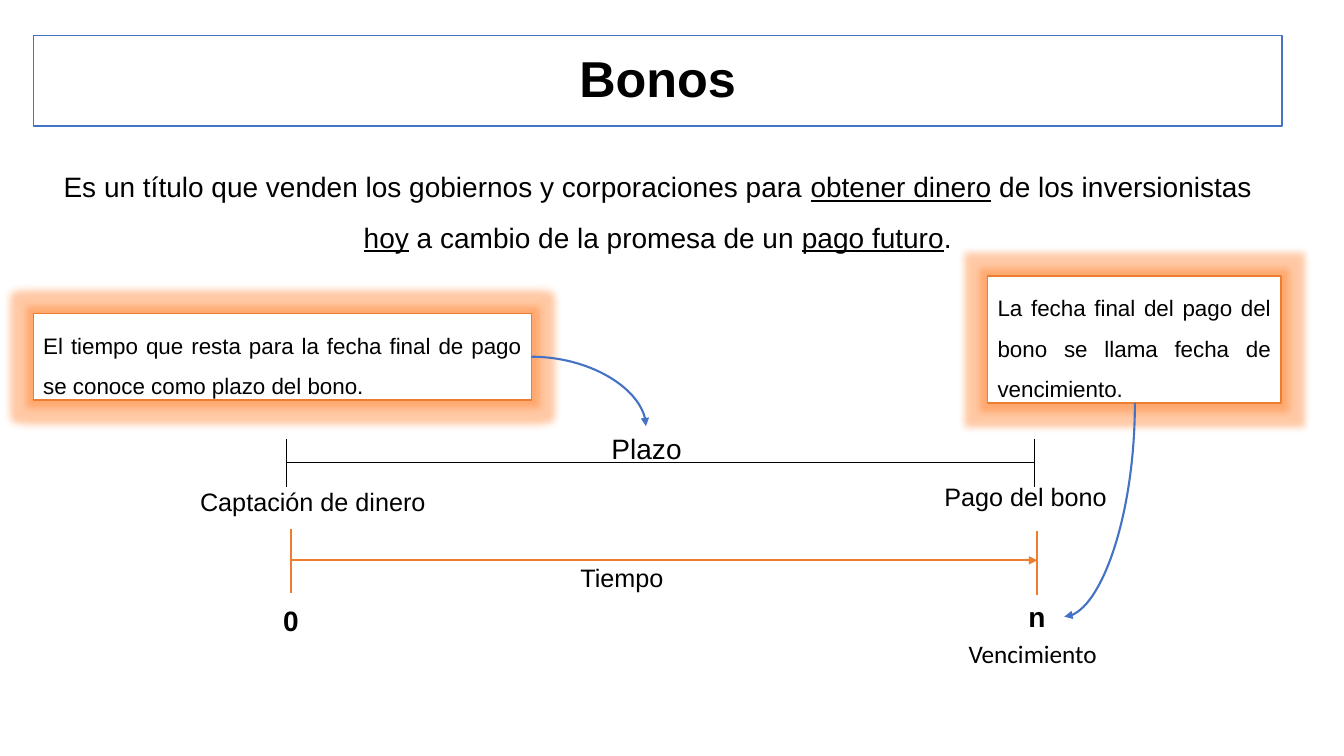
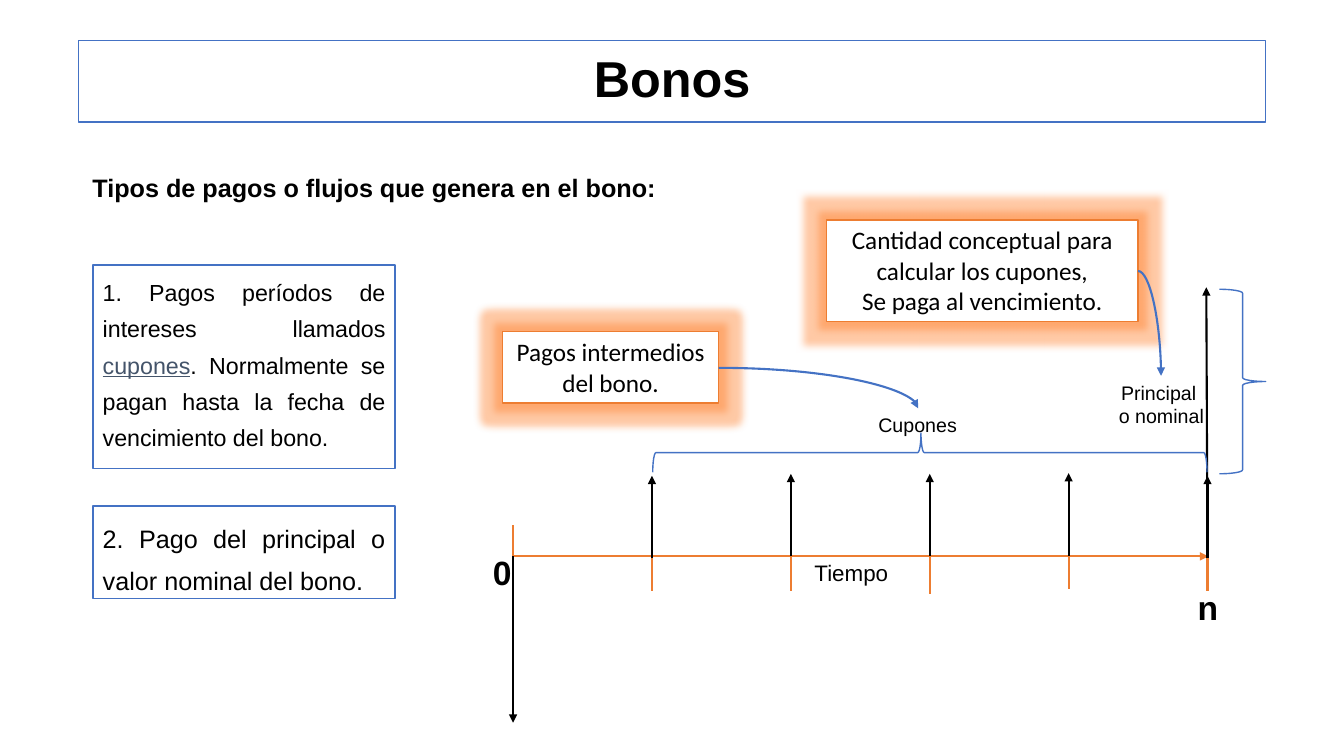
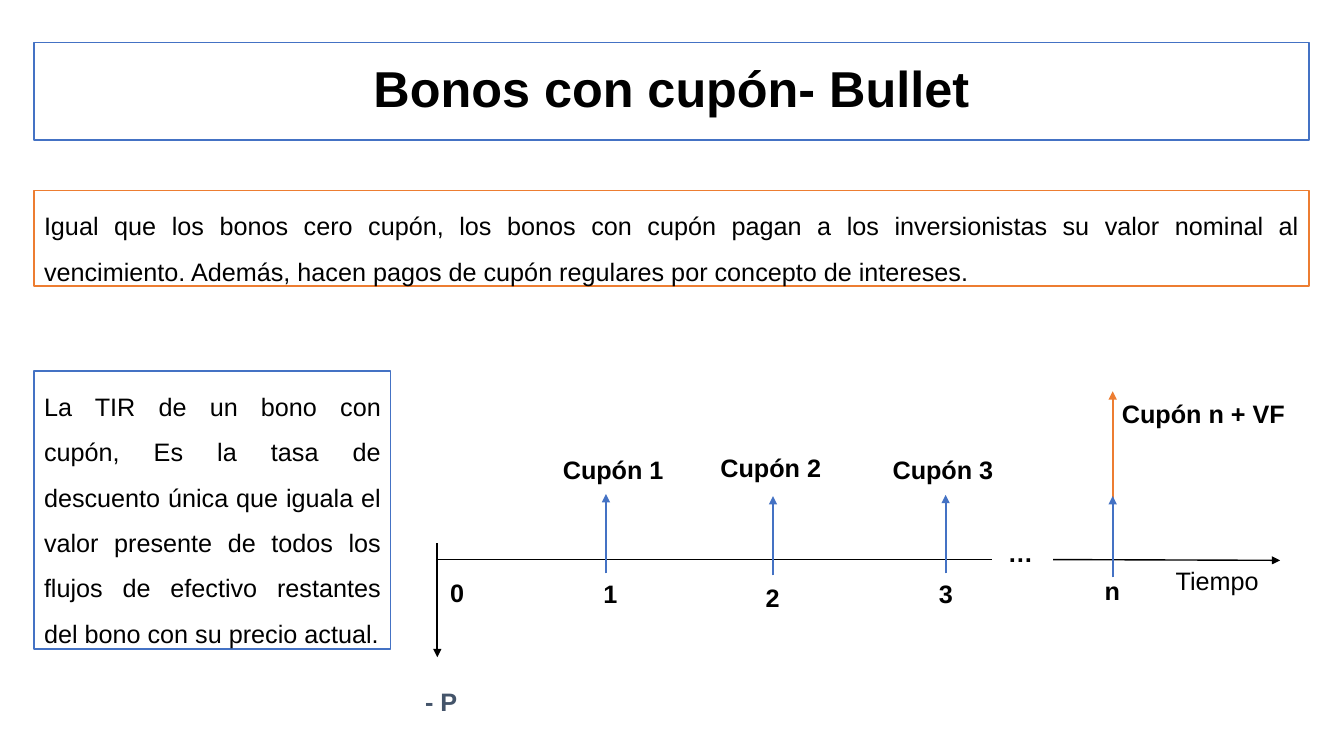
from dataclasses import dataclass
from typing import Optional, Sequence, Union

import lxml.etree
import pptx
import pptx.dml.color
import pptx.enum.shapes
import pptx.enum.text
import pptx.oxml.ns
import pptx.util

Cm = pptx.util.Cm
Pt = pptx.util.Pt
RGBColor = pptx.dml.color.RGBColor
Align = pptx.enum.text.PP_ALIGN
Anchor = pptx.enum.text.MSO_ANCHOR
Preset = pptx.enum.shapes.MSO_SHAPE
Link = pptx.enum.shapes.MSO_CONNECTOR
qn = pptx.oxml.ns.qn

BLACK = RGBColor(0x00, 0x00, 0x00)
WHITE = RGBColor(0xFF, 0xFF, 0xFF)
BLUE = RGBColor(0x44, 0x72, 0xC4)
ORANGE = RGBColor(0xED, 0x7D, 0x31)
GLOW = RGBColor(0xFF, 0x78, 0x1F)
SLATE = RGBColor(0x44, 0x54, 0x6A)


@dataclass(frozen=True)
class Span:
    text: str
    underline: bool = False
    color: Optional[RGBColor] = None


Content = Sequence[Union[str, Sequence[Span]]]


@dataclass(frozen=True)
class Label:
    left: float
    top: float
    width: float
    text: str
    size: float = 18
    bold: bool = False
    color: RGBColor = BLACK
    font: str = "Arial"
    align: Align = Align.CENTER


@dataclass(frozen=True)
class Box:
    left: float
    top: float
    width: float
    height: float
    content: Content
    size: float = 18
    line: Optional[RGBColor] = BLUE
    align: Align = Align.JUSTIFY
    spacing: float = 1.5
    before: float = 0
    bold: bool = False
    font: str = "Arial"
    anchor: Anchor = Anchor.TOP
    glow: bool = False
    grow: bool = False


@dataclass(frozen=True)
class Stroke:
    x1: float
    y1: float
    x2: float
    y2: float
    color: RGBColor = BLACK
    weight: float = 1.5
    arrow: bool = False


@dataclass(frozen=True)
class Curve:
    x1: float
    y1: float
    x2: float
    y2: float
    starts_down: bool = False


@dataclass(frozen=True)
class Brace:
    left: float
    top: float
    width: float
    height: float
    rotation: float = 0
    middle: float = 0.5


def write_text(shape, content: Content, *, size: float, font: str = "Arial",
               color: RGBColor = BLACK, bold: bool = False,
               align: Align = Align.CENTER, spacing: float = 1,
               before: float = 0, anchor: Anchor = Anchor.TOP,
               grow: bool = False) -> None:
    frame = shape.text_frame
    frame.word_wrap = True
    frame.vertical_anchor = anchor
    if grow:
        frame.auto_size = pptx.enum.text.MSO_AUTO_SIZE.SHAPE_TO_FIT_TEXT
    for index, item in enumerate(content):
        para = frame.add_paragraph() if index else frame.paragraphs[0]
        para.alignment = align
        para.line_spacing = spacing
        para.space_before = Pt(before)
        for span in [Span(item)] if isinstance(item, str) else item:
            run = para.add_run()
            run.text = span.text
            run.font.name = font
            run.font.size = Pt(size)
            run.font.bold = bold
            run.font.underline = span.underline
            run.font.color.rgb = span.color or color


def add_glow(shape) -> None:
    effects = shape._element.spPr.find(qn("a:effectLst"))
    glow = lxml.etree.SubElement(effects, qn("a:glow"), rad="139700")
    tint = lxml.etree.SubElement(glow, qn("a:srgbClr"), val=str(GLOW))
    lxml.etree.SubElement(tint, qn("a:alpha"), val="40000")


def draw_box(page, box: Box) -> None:
    shape = page.shapes.add_shape(Preset.RECTANGLE, Cm(box.left), Cm(box.top),
                                  Cm(box.width), Cm(box.height))
    shape.shadow.inherit = False
    shape.fill.solid()
    shape.fill.fore_color.rgb = WHITE
    if box.line is None:
        shape.line.fill.background()
    else:
        shape.line.color.rgb = box.line
        shape.line.width = Pt(1)
    if box.glow:
        add_glow(shape)
    write_text(shape, box.content, size=box.size, font=box.font, bold=box.bold,
               align=box.align, spacing=box.spacing, before=box.before,
               anchor=box.anchor, grow=box.grow)


def draw_title(page, text: str, left: float, top: float, width: float,
               height: float) -> None:
    draw_box(page, Box(left, top, width, height, [text], size=36, bold=True,
                       align=Align.CENTER, spacing=0.9, anchor=Anchor.MIDDLE))


def draw_label(page, label: Label) -> None:
    lines = label.text.split("\n")
    height = 0.25 + len(lines) * label.size * 0.0423
    shape = page.shapes.add_textbox(Cm(label.left), Cm(label.top),
                                    Cm(label.width), Cm(height))
    write_text(shape, lines, size=label.size, font=label.font,
               color=label.color, bold=label.bold, align=label.align, grow=True)


def style_connector(connector, color: RGBColor, weight: float, arrow: bool) -> None:
    connector.line.color.rgb = color
    connector.line.width = Pt(weight)
    if arrow:
        outline = connector.line._get_or_add_ln()
        lxml.etree.SubElement(outline, qn("a:tailEnd"), type="triangle")
    lxml.etree.SubElement(connector._element.spPr, qn("a:effectLst"))


def draw_stroke(page, stroke: Stroke) -> None:
    connector = page.shapes.add_connector(
        Link.STRAIGHT, Cm(stroke.x1), Cm(stroke.y1), Cm(stroke.x2), Cm(stroke.y2))
    style_connector(connector, stroke.color, stroke.weight, stroke.arrow)


def draw_curve(page, curve: Curve) -> None:
    x1, y1, x2, y2 = curve.x1, curve.y1, curve.x2, curve.y2
    if curve.starts_down:
        middle_x, middle_y = (x1 + x2) / 2, (y1 + y2) / 2
        half_width, half_height = abs(y2 - y1) / 2, abs(x2 - x1) / 2
        x1, x2 = middle_x - half_width, middle_x + half_width
        y1, y2 = middle_y - half_height, middle_y + half_height
    connector = page.shapes.add_connector(Link.CURVE, Cm(x1), Cm(y1), Cm(x2), Cm(y2))
    properties = connector._element.spPr
    properties.find(qn("a:prstGeom")).set("prst", "curvedConnector2")
    if curve.starts_down:
        properties.find(qn("a:xfrm")).set("rot", "5400000")
    style_connector(connector, BLUE, 1.5, True)


def draw_brace(page, brace: Brace) -> None:
    shape = page.shapes.add_shape(Preset.RIGHT_BRACE, Cm(brace.left), Cm(brace.top),
                                  Cm(brace.width), Cm(brace.height))
    shape.shadow.inherit = False
    shape.fill.background()
    shape.line.color.rgb = BLUE
    shape.line.width = Pt(1)
    shape.rotation = brace.rotation
    shape.adjustments[1] = brace.middle


DRAWERS = {Box: draw_box, Label: draw_label, Stroke: draw_stroke,
           Curve: draw_curve, Brace: draw_brace}


def draw_all(page, items: Sequence) -> None:
    for item in items:
        DRAWERS[type(item)](page, item)


def build_definition(page) -> None:
    draw_title(page, "Bonos", 0.84, 0.89, 31.47, 2.29)
    definition = [
        Span("Es un título que venden los gobiernos y corporaciones para "),
        Span("obtener dinero", underline=True),
        Span(" de los inversionistas "),
        Span("hoy", underline=True),
        Span(" a cambio de la promesa de un "),
        Span("pago futuro", underline=True),
        Span("."),
    ]
    draw_all(page, [
        Box(0.84, 3.73, 31.47, 2.72, [definition], size=20, line=None,
            align=Align.CENTER, before=10),
        Stroke(7.34, 14.12, 26.14, 14.12, ORANGE, arrow=True),
        Stroke(7.34, 13.34, 7.34, 14.94, ORANGE),
        Stroke(26.14, 13.39, 26.14, 14.99, ORANGE),
        Label(6.63, 15.09, 1.4, "0", 20, bold=True),
        Label(25.43, 14.99, 1.4, "n", 20, bold=True),
        Label(4.19, 12.12, 7.39, "Captación de dinero"),
        Label(22.15, 12.01, 7.39, "Pago del bono"),
        Label(14.05, 14.05, 3.25, "Tiempo"),
        Box(24.89, 6.96, 7.39, 3.2,
            ["La fecha final del pago del bono se llama fecha de vencimiento."],
            size=16, line=ORANGE, before=3.2, glow=True, grow=True),
        Curve(28.6, 10.16, 26.82, 15.54, starts_down=True),
        Label(24.16, 15.95, 3.96, "Vencimiento", font="Calibri", align=Align.LEFT),
        Label(12.6, 10.74, 7.39, "Plazo", 20),
        Stroke(7.21, 11.66, 26.06, 11.66, weight=0.5),
        *[Stroke(x, 11.05, x, 12.27, weight=0.5) for x in (7.21, 26.06)],
        Box(0.84, 7.9, 12.55, 2.18,
            ["El tiempo que resta para la fecha final de pago se conoce como "
             "plazo del bono."],
            size=16, line=ORANGE, before=3.2, glow=True, grow=True),
        Curve(13.39, 8.99, 16.28, 10.74),
    ])


def build_payments(page) -> None:
    draw_title(page, "Bonos", 1.98, 1.02, 29.92, 2.06)
    interest = [
        Span("1. Pagos períodos de intereses llamados "),
        Span("cupones", underline=True, color=SLATE),
        Span(". Normalmente se pagan hasta la fecha de vencimiento del bono."),
    ]
    axis = 14.02
    periods = [12.93 + 3.5 * index for index in range(6)]
    tick_tops = (13.23, 13.28, 13.28, 13.36, 13.23, 13.28)
    coupon_bases = (14.07, 14.02, 14.02, 14.0, 14.07)
    draw_all(page, [
        Box(2.08, 3.84, 14.86, 1.4, ["Tipos de pagos o flujos que genera en el bono:"],
            line=None, bold=True, before=10),
        Box(2.34, 6.68, 7.62, 5.13, [interest], size=16.6, spacing=1.3, before=3.3),
        Box(2.34, 12.75, 7.62, 2.34,
            ["2. Pago del principal o valor nominal del bono."],
            spacing=1.4, before=3.6),
        Box(20.83, 5.54, 7.85, 2.57,
            ["Cantidad conceptual para calcular los cupones,",
             "Se paga al vencimiento."],
            line=ORANGE, align=Align.CENTER, spacing=1, font="Calibri",
            glow=True, grow=True),
        Stroke(30.43, 14.1, 30.4, 7.24, arrow=True),
        Stroke(periods[0], axis, 30.45, axis, ORANGE, arrow=True),
        *[Stroke(x, top, x, top + 1.6, ORANGE) for x, top in zip(periods, tick_tops)],
        Label(11.96, 13.79, 1.4, "0", 24, bold=True),
        Label(29.74, 14.66, 1.4, "n", 24, bold=True),
        Label(19.13, 13.97, 4.65, "Tiempo", 16),
        Stroke(periods[0], axis, periods[0], 18.21, arrow=True),
        Label(19.43, 10.29, 7.39, "Cupones", 14),
        Brace(22.94, 4.42, 0.99, 13.97, rotation=270, middle=0.484),
        Label(27.81, 9.47, 2.92, "Principal \no nominal", 14),
        Brace(30.73, 7.29, 1.17, 4.65),
        *[Stroke(x, base, x, base - 2.08, arrow=True)
          for x, base in zip(periods[1:], coupon_bases)],
        Box(12.67, 8.36, 5.44, 1.8, ["Pagos intermedios del bono."],
            line=ORANGE, align=Align.CENTER, spacing=1, font="Calibri",
            glow=True, grow=True),
        Curve(28.68, 6.83, 29.26, 9.47),
        Curve(18.11, 9.27, 23.14, 10.29),
    ])


def build_bullet(page) -> None:
    draw_title(page, "Bonos con cupón- Bullet", 0.86, 1.07, 32.13, 2.46)
    coupons = ((15.27, 14.45, 12.45), (19.48, 14.5, 12.5),
               (23.83, 14.45, 12.47), (28.04, 14.55, 12.5))
    period_labels = ((10.82, 14.43, "0"), (14.68, 14.45, "1"), (18.77, 14.55, "2"),
                     (23.14, 14.45, "3"), (25.02, 13.41, "…"), (27.33, 14.38, "n"))
    coupon_labels = ((13.51, 11.33, "Cupón 1"), (17.48, 11.28, "Cupón 2"),
                     (21.82, 11.33, "Cupón 3"))
    draw_all(page, [
        Box(0.86, 9.35, 8.99, 7.01,
            ["La TIR de un bono con cupón, Es la tasa de descuento única que "
             "iguala el valor presente de todos los flujos de efectivo restantes "
             "del bono con su precio actual."], before=10),
        Stroke(28.04, 14.05, 28.04, 9.86, ORANGE, arrow=True),
        Stroke(26.54, 14.1, 32.26, 14.12, weight=1, arrow=True),
        Stroke(11.02, 14.1, 24.99, 14.1, weight=1),
        Stroke(11.02, 13.69, 11.02, 16.56, arrow=True),
        *[Stroke(x, base, x, tip, BLUE, arrow=True) for x, base, tip in coupons],
        *[Label(left, top, 1.4, text, bold=True) for left, top, text in period_labels],
        *[Label(left, top, 3.89, text, bold=True) for left, top, text in coupon_labels],
        Label(28.02, 9.91, 4.62, "Cupón n + VF", bold=True),
        Label(28.35, 14.12, 4.65, "Tiempo"),
        Label(10.36, 17.17, 1.52, "- P", bold=True, color=SLATE),
        Box(0.86, 4.8, 32.13, 2.41,
            ["Igual que los bonos cero cupón, los bonos con cupón pagan a los "
             "inversionistas su valor nominal al vencimiento. Además, hacen pagos "
             "de cupón regulares por concepto de intereses."],
            line=ORANGE, grow=True),
    ])


deck = pptx.Presentation()
deck.slide_width = Cm(33.87)
deck.slide_height = Cm(19.05)
for build in (build_definition, build_payments, build_bullet):
    build(deck.slides.add_slide(deck.slide_layouts[6]))
deck.save("out.pptx")
